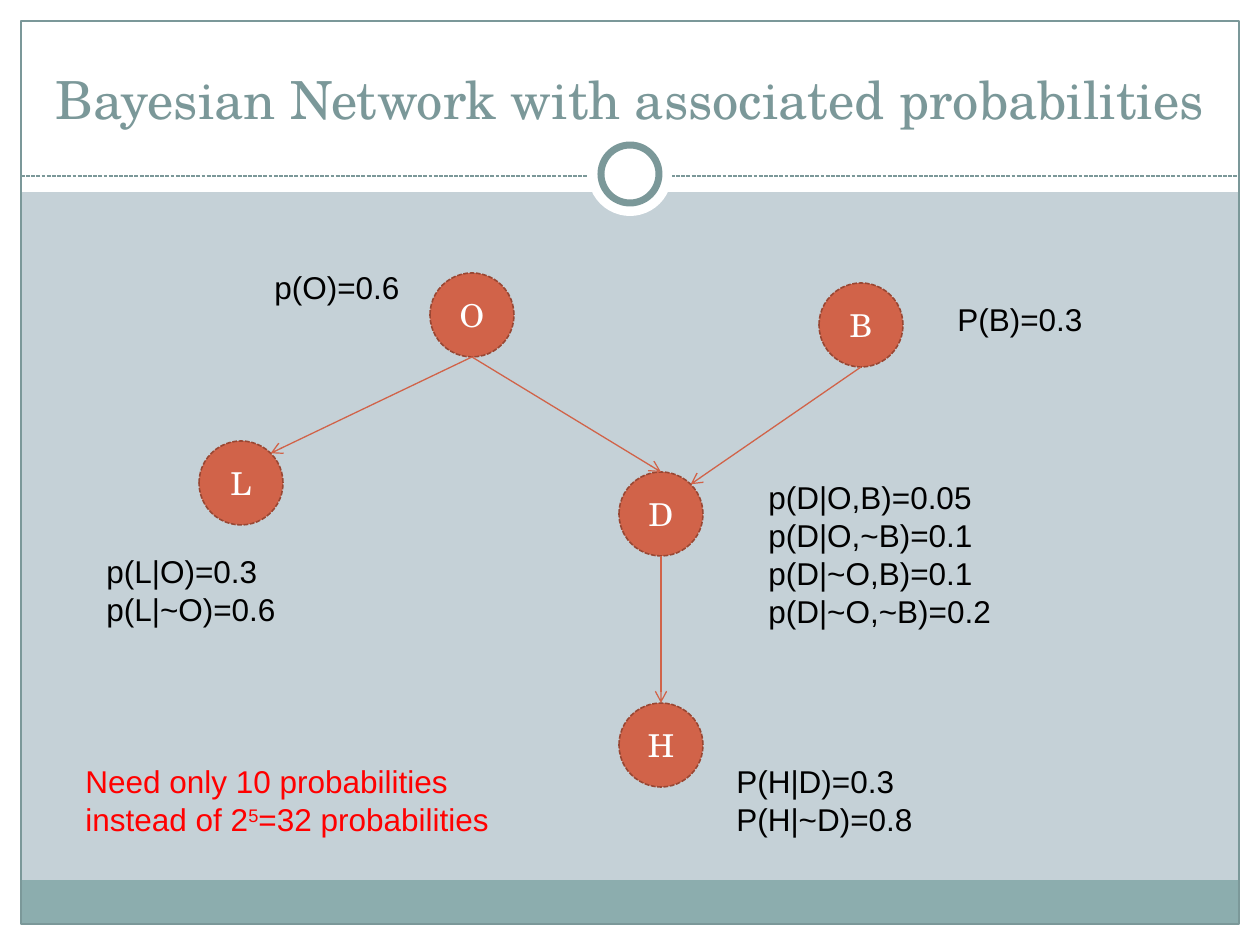
from dataclasses import dataclass
from math import sqrt
from lxml.etree import SubElement
from pptx import Presentation
from pptx.dml.color import RGBColor
from pptx.enum.dml import MSO_LINE
from pptx.enum.shapes import MSO_CONNECTOR, MSO_SHAPE
from pptx.enum.text import MSO_ANCHOR, PP_ALIGN
from pptx.oxml.ns import qn
from pptx.util import Pt

PX = 914400 / 126  # EMU in one px
WIDE, HIGH = 1260, 945
EDGE = 21  # white margin round the slide
NODE = 84  # node diameter


@dataclass(frozen=True)
class Theme:
    back: str = "C5D1D7"
    white: str = "FFFFFF"
    black: str = "000000"
    red: str = "FF0000"
    teal: str = "7B9899"
    band: str = "8CADAE"
    node: str = "D16349"
    rim: str = "994733"
    serif: str = "TeX Gyre Schola"
    sans: str = "Arial"
    head: int = 30
    body: int = 18


T = Theme()

# Node name: left, top
NODES = {"O": (430, 273), "B": (819, 283), "L": (199, 441),
         "D": (619, 472), "H": (619, 703)}

# Parent, child, whether the arrow meets the child at its upper right
ARCS = [("O", "L", True), ("O", "D", False), ("B", "D", True), ("D", "H", False)]

# Left, top, width, lines
LABELS = [
    (262, 262, 158, ["p(O)=0.6"]),
    (945, 294, 158, ["P(B)=0.3"]),
    (94, 546, 210, ["p(L|O)=0.3", "p(L|~O)=0.6"]),
    (756, 472, 262, ["p(D|O,B)=0.05", "p(D|O,~B)=0.1",
                     "p(D|~O,B)=0.1", "p(D|~O,~B)=0.2"]),
    (724, 756, 210, ["P(H|D)=0.3", "P(H|~D)=0.8"]),
]


def emu(*vals):
    return [round(v * PX) for v in vals]


def color(code):
    return RGBColor.from_string(code)


def style(run, face, size, code):
    run.font.name, run.font.size = face, Pt(size)
    run.font.color.rgb = color(code)


def draw_line(line, code, width, dash=None):
    line.color.rgb = color(code)
    line.width = Pt(width)
    if dash:
        line.dash_style = dash


def add_form(slide, kind, box, fill=None, line=None):
    form = slide.shapes.add_shape(kind, *emu(*box))
    form.shadow.inherit = False
    if fill:
        form.fill.solid()
        form.fill.fore_color.rgb = color(fill)
    else:
        form.fill.background()
    if line:
        draw_line(form.line, *line)
    else:
        form.line.fill.background()
    return form


def add_line(slide, start, end, code, width, dash=None):
    line = slide.shapes.add_connector(MSO_CONNECTOR.STRAIGHT, *emu(*start, *end))
    draw_line(line.line, code, width, dash)
    SubElement(line._element.spPr, qn("a:effectLst"))
    return line


def add_text(slide, box, lines, code=T.black, face=T.sans, size=T.body):
    frame = slide.shapes.add_textbox(*emu(*box)).text_frame
    frame.word_wrap = True
    frame.text = "\n".join(lines)
    for para in frame.paragraphs:
        for run in para.runs:
            style(run, face, size, code)
    return frame


def add_node(slide, name, left, top):
    node = add_form(slide, MSO_SHAPE.OVAL, (left, top, NODE, NODE), T.node,
                    (T.rim, 0.91, MSO_LINE.SQUARE_DOT))
    frame = node.text_frame
    frame.text = name
    frame.vertical_anchor = MSO_ANCHOR.MIDDLE
    para = frame.paragraphs[0]
    para.alignment = PP_ALIGN.CENTER
    style(para.runs[0], T.serif, T.body, T.white)
    return node


def add_arc(slide, nodes, parent, child, slant):
    half = NODE / 2
    left, top = NODES[parent]
    start = (left + half, top + NODE)
    left, top = NODES[child]
    skew = half / sqrt(2)
    end = (left + half + skew, top + half - skew) if slant else (left + half, top)
    arc = add_line(slide, start, end, T.node, 0.75)
    if not slant:
        arc.end_connect(nodes[child], 0)
    SubElement(arc.line._get_or_add_ln(), qn("a:tailEnd"), type="arrow")


def add_frame(slide):
    low = HIGH - EDGE
    # White margins, header and footer band
    for box in [(0, low, WIDE, EDGE), (0, 0, WIDE, 192),
                (0, 0, EDGE, HIGH), (WIDE - EDGE, 0, EDGE, HIGH)]:
        add_form(slide, MSO_SHAPE.RECTANGLE, box, T.white)
    inner = WIDE - 2 * EDGE
    add_form(slide, MSO_SHAPE.RECTANGLE, (EDGE, 880, inner, low - 880), T.band)
    add_form(slide, MSO_SHAPE.RECTANGLE, (EDGE, EDGE, inner, low - EDGE),
             line=(T.teal, 0.75))
    # Dashed rule with its ring
    add_line(slide, (EDGE, 176), (WIDE - EDGE, 176), T.teal, 0.75,
             MSO_LINE.SQUARE_DOT)
    for size, line in [(84, None), (58, (T.teal, 4))]:
        box = ((WIDE - size) / 2, 174 - size / 2, size, size)
        add_form(slide, MSO_SHAPE.OVAL, box, T.white, line)


def add_title(slide):
    frame = add_text(slide, (42, 32, 1176, 104),
                     ["Bayesian Network with associated probabilities"],
                     T.teal, T.serif, T.head)
    frame.margin_left = frame.margin_right = 0
    frame.vertical_anchor = MSO_ANCHOR.BOTTOM
    frame.paragraphs[0].alignment = PP_ALIGN.CENTER


def add_note(slide):
    frame = add_text(slide, (73, 756, 462, 88),
                     ["Need only 10 probabilities instead of 2"], T.red)
    para = frame.paragraphs[0]
    for text in ("5", "=32 probabilities"):
        run = para.add_run()
        run.text = text
        style(run, T.sans, T.body, T.red)
    para.runs[1].font._element.set("baseline", "30000")


def main():
    deck = Presentation()
    deck.slide_width, deck.slide_height = emu(WIDE, HIGH)
    slide = deck.slides.add_slide(deck.slide_layouts[6])
    slide.background.fill.solid()
    slide.background.fill.fore_color.rgb = color(T.back)

    add_frame(slide)
    add_title(slide)

    # Network
    nodes = {name: add_node(slide, name, *spot) for name, spot in NODES.items()}
    for arc in ARCS:
        add_arc(slide, nodes, *arc)

    # Probabilities
    for left, top, width, lines in LABELS:
        add_text(slide, (left, top, width, 13 + 38 * len(lines)), lines)
    add_note(slide)
    deck.save("out.pptx")


if __name__ == "__main__":
    main()
